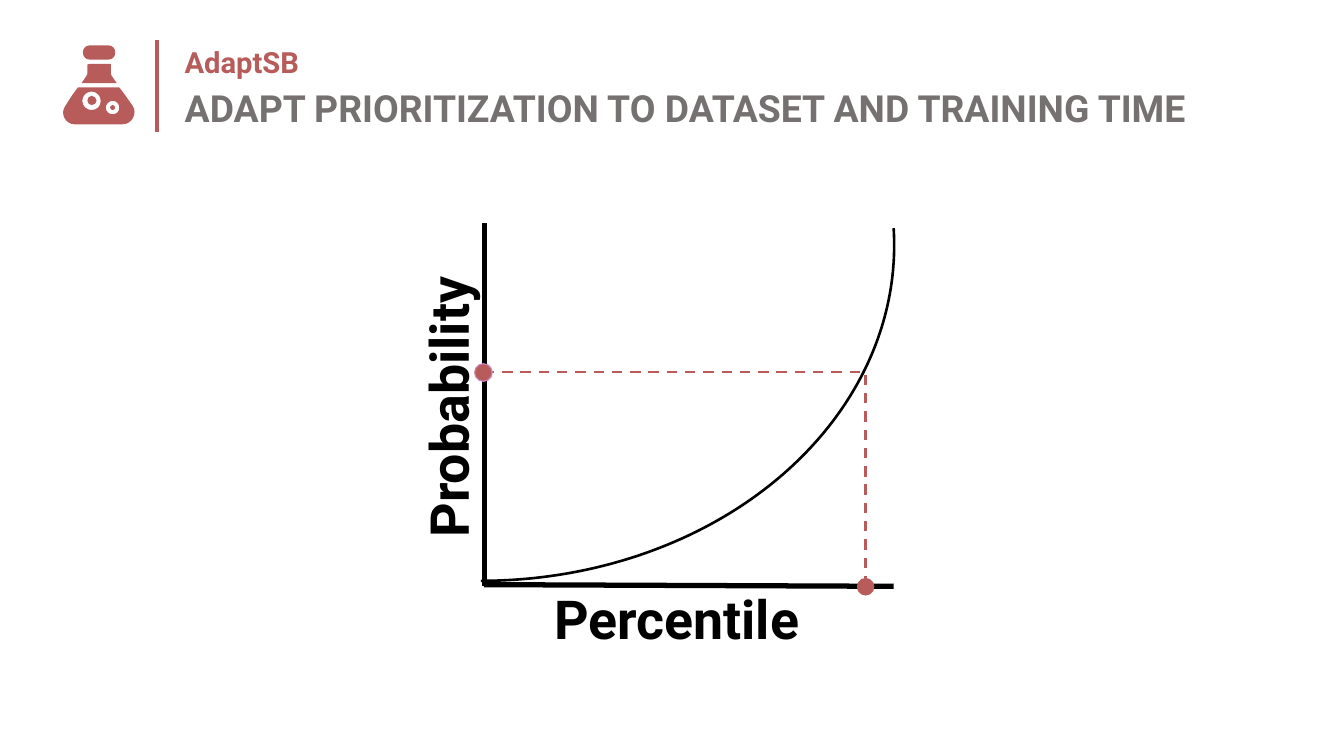
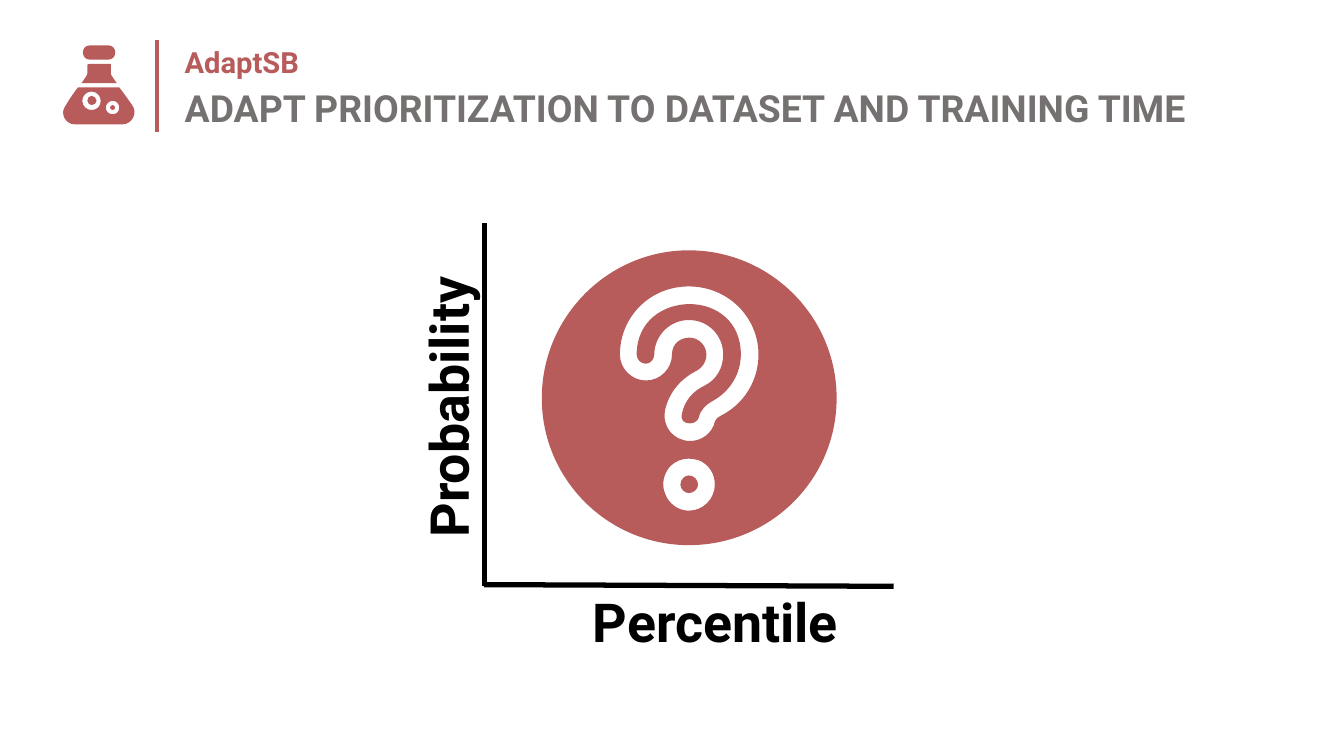
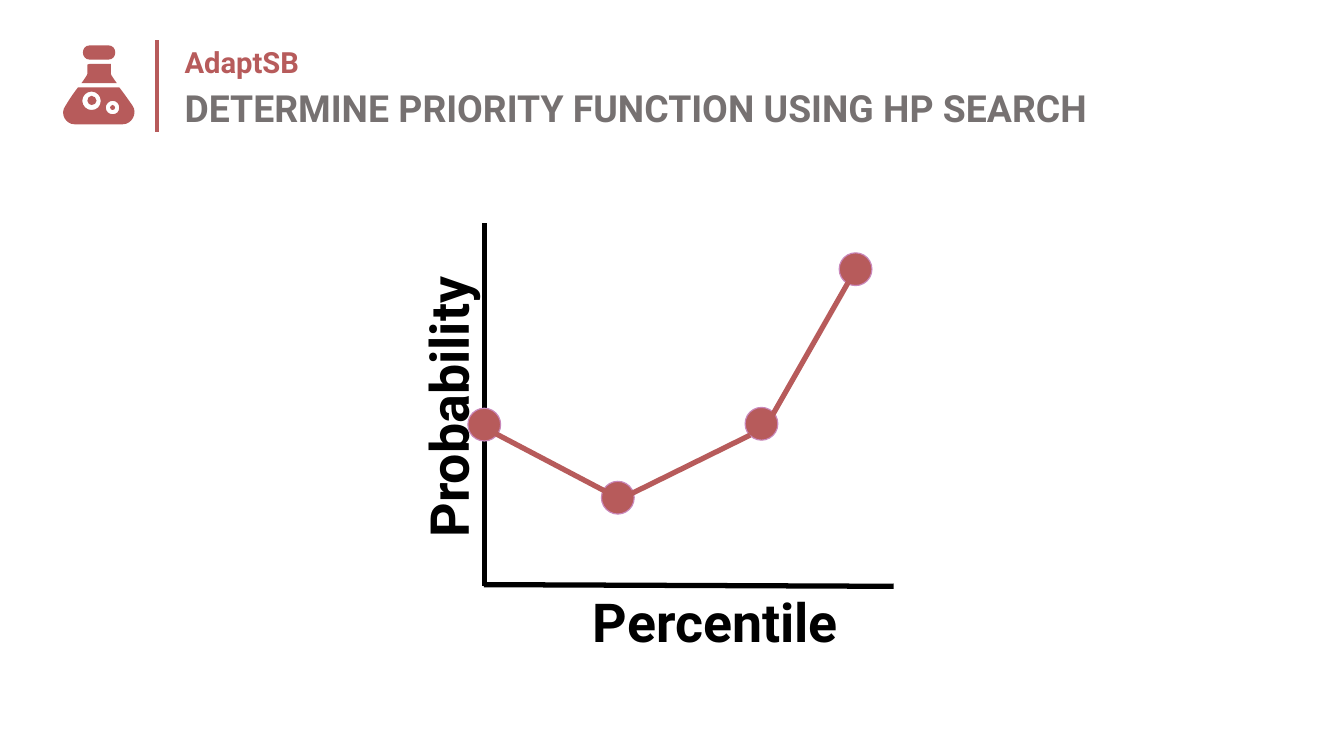
"""Three slides on adapting sample prioritization to data and training time."""
from pptx import Presentation
from pptx.dml.color import RGBColor
from pptx.enum.dml import MSO_LINE
from pptx.enum.shapes import MSO_CONNECTOR, MSO_SHAPE as SHAPE
from pptx.enum.text import MSO_ANCHOR as ANCHOR, MSO_AUTO_SIZE as AUTO_SIZE
from pptx.oxml.ns import qn
from pptx.util import Pt

PX = 9144
FONT = "Roboto"
RED = RGBColor(0xB7, 0x5B, 0x5B)
GRAY = RGBColor(0x76, 0x71, 0x71)
BLACK = RGBColor(0, 0, 0)
PINK = RGBColor(0xC9, 0x88, 0xBB)

TOPIC = "AdaptSB"
ADAPT = "ADAPT PRIORITIZATION TO DATASET AND TRAINING TIME"
SEARCH = "DETERMINE PRIORITY FUNCTION USING HP SEARCH"

AXES = [((577, 266), (577, 698)), ((1064, 698), (576, 696))]
GUIDES = [((1030, 698), (1030, 442)), ((576, 443), (1030, 443))]
CURVE_BOX, CURVE_ENDS = (173, -200, 799, 984), (160.58, 0)
PRIORITIES = [(576, 505), (735, 592), (906, 504), (1018, 320)]
TRENDS = [((582, 512), (738, 594)), ((743, 592), (893, 518)), ((910, 511), (1019, 320))]

FLASK_CAP = [(107, 54), (96, 54, 96, 71, 107, 71), (129, 71), (140, 71, 140, 54, 129, 54)]
FLASK_NECK = [(107, 76), (105, 76, 105, 76, 104, 77), (104, 88), (104, 89, 102, 92, 97, 99),
              (139, 99), (134, 92, 132, 89, 132, 88), (132, 76), (129, 76),
              (115, 76, 110, 76, 107, 76)]
BIG_BUBBLE = [(109, 114), (106, 114, 104, 117, 104, 120), (104, 123, 107, 125, 109, 125),
              (112, 125, 115, 123, 115, 120), (115, 117, 112, 114, 109, 114)]
SMALL_BUBBLE = [(134, 125), (133, 125, 131, 127, 131, 128), (131, 130, 133, 131, 134, 131),
                (136, 131, 137, 130, 137, 128), (137, 127, 136, 125, 134, 125)]
BIG_HOLE = [(109, 109), (115, 109, 120, 114, 120, 120), (120, 126, 116, 131, 109, 131),
            (103, 131, 98, 126, 98, 120), (98, 114, 103, 109, 109, 109)]
SMALL_HOLE = [(134, 120), (139, 120, 142, 124, 142, 128), (142, 133, 139, 136, 134, 136),
              (130, 136, 126, 133, 126, 128), (126, 124, 130, 120, 134, 120)]
FLASK_BODY = [(93, 104), (89, 109, 84, 116, 78, 126), (71, 135, 78, 148, 89, 148), (146, 148),
              (157, 148, 164, 135, 158, 126), (151, 116, 146, 109, 142, 104)]
FLASK = [[FLASK_CAP], [FLASK_NECK], [BIG_BUBBLE], [SMALL_BUBBLE],
         [BIG_HOLE, SMALL_HOLE, FLASK_BODY]]

QUESTION_DOT = [(820, 566), (815, 566, 810, 571, 810, 577), (810, 582, 815, 587, 820, 587),
                (826, 587, 831, 582, 831, 577), (831, 571, 826, 566, 820, 566)]
QUESTION_CORE = [
    (821, 362), (790, 362, 758, 382, 758, 422), (758, 428, 763, 433, 769, 433),
    (774, 433, 779, 428, 779, 422), (779, 400, 797, 381, 820, 381),
    (844, 381, 861, 400, 861, 422), (861, 438, 853, 452, 839, 459),
    (824, 466, 815, 478, 812, 492), (811, 495, 811, 498, 813, 501),
    (815, 503, 818, 504, 821, 504), (826, 504, 830, 502, 832, 497),
    (834, 488, 840, 482, 849, 477), (869, 466, 882, 445, 882, 422),
    (882, 382, 852, 362, 821, 362)]
QUESTION_RIM = [
    (820, 341), (867, 341, 903, 378, 903, 422), (903, 453, 886, 481, 858, 495),
    (852, 498, 852, 501, 851, 502), (848, 516, 835, 525, 822, 525),
    (819, 525, 816, 525, 814, 524), (797, 520, 788, 503, 792, 487),
    (797, 467, 810, 451, 830, 441), (842, 434, 845, 418, 835, 408),
    (831, 404, 826, 402, 821, 402), (810, 402, 800, 409, 800, 422),
    (800, 439, 786, 453, 769, 453), (752, 453, 738, 439, 738, 422),
    (738, 378, 773, 341, 820, 341)]
DOT_RIM = [(820, 546), (824, 546, 828, 547, 832, 548), (844, 553, 851, 564, 851, 577),
           (851, 594, 837, 608, 820, 608), (808, 608, 796, 600, 792, 588),
           (787, 577, 790, 564, 798, 555), (804, 549, 812, 546, 820, 546)]
QUESTION_DISC = [(820, 298), (724, 298, 645, 377, 645, 474), (645, 571, 724, 649, 820, 649),
                 (917, 649, 996, 571, 996, 474), (996, 377, 917, 298, 820, 298)]
QUESTION = [[QUESTION_DOT], [QUESTION_CORE], [QUESTION_RIM, DOT_RIM, QUESTION_DISC]]


def emu(*lengths):
    return [length * PX for length in lengths]


def add_text(slide, text, box, size, color, anchor=ANCHOR.TOP, wrap=True, spacing=None, rotation=0):
    label = slide.shapes.add_textbox(*emu(*box))
    label.rotation = rotation
    frame = label.text_frame
    frame.word_wrap, frame.vertical_anchor = wrap, anchor
    if not wrap:
        frame.auto_size = AUTO_SIZE.SHAPE_TO_FIT_TEXT
    paragraph = frame.paragraphs[0]
    paragraph.line_spacing = spacing
    run = paragraph.add_run()
    run.text = text
    run.font.name, run.font.size, run.font.bold = FONT, Pt(size), True
    run.font.color.rgb = color


def paint(shape, fill=None, line=None, width=1):
    shape.shadow.inherit = False
    if fill is None:
        shape.fill.background()
    else:
        shape.fill.solid()
        shape.fill.fore_color.rgb = fill
    if line is None:
        shape.line.fill.background()
    else:
        shape.line.color.rgb, shape.line.width = line, Pt(width)
    return shape


def add_dot(slide, center, size, line=None):
    left, top = (c - size // 2 for c in center)
    paint(slide.shapes.add_shape(SHAPE.OVAL, *emu(left, top, size, size)), RED, line)


def add_line(slide, ends, color, width, dash=None):
    start, end = ends
    line = slide.shapes.add_connector(MSO_CONNECTOR.STRAIGHT, *emu(*start, *end))
    line.line.color.rgb, line.line.width = color, Pt(width)
    if dash:
        line.line.dash_style = dash
    properties = line._element.spPr
    properties.append(properties.makeelement(qn("a:effectLst"), {}))
    return line


def add_outline(shapes, contours):
    """Draw pairs as straight segments and sextuples as cubic curves."""
    builder = shapes.build_freeform(*emu(*contours[0][0]))
    segments = []
    for index, (start, *rest) in enumerate(contours):
        if index:
            builder.move_to(*emu(*start))
        points = [emu(*segment[i:i + 2]) for segment in rest for i in range(0, len(segment), 2)]
        builder.add_line_segments(points, close=True)
        segments += rest
    outline = paint(builder.convert_to_shape(), RED)
    steps = iter(list(outline._element.iter(qn("a:lnTo"))))
    for segment in segments:
        step = next(steps)
        if len(segment) == 6:
            step.tag = qn("a:cubicBezTo")
            for follower in (next(steps), next(steps)):
                step.append(follower[0])
                follower.getparent().remove(follower)


def add_icon(slide, outlines):
    icon = slide.shapes.add_group_shape()
    for contours in outlines:
        add_outline(icon.shapes, contours)
    return icon


def share_header(slide):
    """Move the rule and the flask to the layout that all slides use."""
    rule = add_line(slide, ((187, 48), (187, 157)), RED, 3)
    for part in (rule, add_icon(slide, FLASK)):
        slide.slide_layout.shapes._spTree.append(part._element)


def add_plot_slide(deck, headline, percentile_at=(696, 696)):
    slide = deck.slides.add_slide(deck.slide_layouts[6])
    add_text(slide, TOPIC, (210, 50, 1380, 52), 25, RED, anchor=ANCHOR.MIDDLE, spacing=0.9)
    add_text(slide, headline, (210, 103, 1380, 54), 32, GRAY, spacing=0.9)
    for axis in AXES:
        add_line(slide, axis, BLACK, 4.5)
    add_text(slide, "Percentile", (*percentile_at, 316, 88), 46, BLACK, wrap=False)
    add_text(slide, "Probability", (366, 438, 335, 88), 46, BLACK, wrap=False, rotation=270)
    return slide


def add_curve(slide):
    curve = paint(slide.shapes.add_shape(SHAPE.ARC, *emu(*CURVE_BOX)), line=BLACK, width=2.25)
    curve.rotation = 90
    for index, end in enumerate(CURVE_ENDS):
        curve.adjustments[index] = end
    add_dot(slide, (1030, 698), 21)
    for guide in GUIDES:
        add_line(slide, guide, RED, 2.25, MSO_LINE.DASH)
    add_dot(slide, (575, 443), 21, line=PINK)


def add_priorities(slide):
    for center in PRIORITIES:
        add_dot(slide, center, 39, line=PINK)
    for trend in TRENDS:
        add_line(slide, trend, RED, 4.5)


def main():
    deck = Presentation()
    deck.slide_width, deck.slide_height = emu(1600, 900)
    curve_slide = add_plot_slide(deck, ADAPT, percentile_at=(650, 692))
    share_header(curve_slide)
    add_curve(curve_slide)
    add_icon(add_plot_slide(deck, ADAPT), QUESTION)
    add_priorities(add_plot_slide(deck, SEARCH))
    deck.save("out.pptx")


if __name__ == "__main__":
    main()
